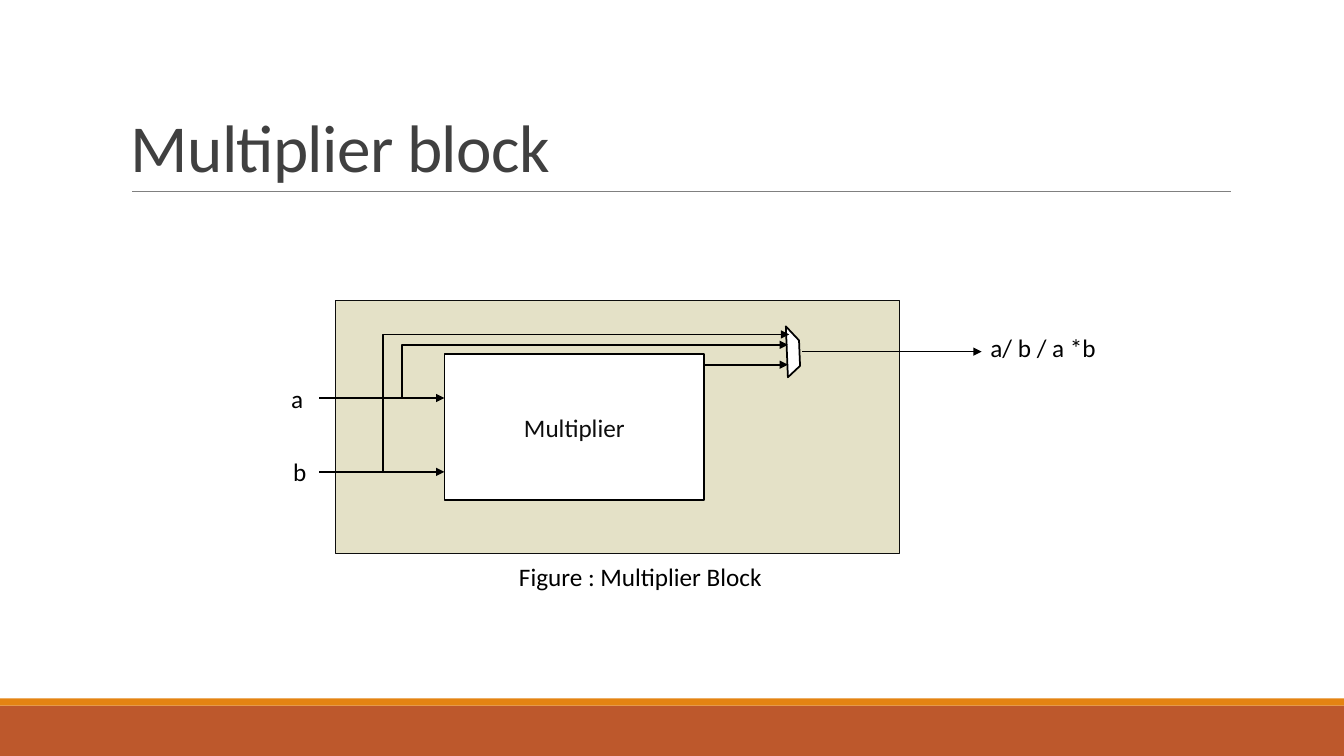
from lxml import etree
from pptx import Presentation
from pptx import util as u
from pptx.dml.color import RGBColor
from pptx.enum import shapes, text
from pptx.oxml.ns import qn

# Content: lengths in cm, boxes as left, top, width, height
COLOURS = {"rust": "BD582C", "orange": "E48312", "rule": "808080",
           "title": "404040", "panel": "C2BC80", "ink": "0D0D0D",
           "black": "000000", "white": "FFFFFF"}
FONT = "Calibri"
WIDTH, HEIGHT = 33.87, 19.05
TITLE = ("Multiplier block", (3.05, 0.79, 27.94, 4.04))
PANEL = (8.46, 7.57, 14.2, 6.38)
MULTIPLIER = ("Multiplier", (11.2, 8.92, 6.55, 3.68))
MUX = (19.41, 8.38, 0.84, 0.97)
INPUT_X, MUX_X = 8.05, 19.86
A_Y, B_Y = 10.03, 11.89
LABELS = [
    ("a", (7.09, 9.53, 0.89, 1.02)),
    ("b", (7.14, 11.38, 0.89, 1.02)),
    ("a/ b / a *b", (24.71, 8.26, 3.43, 1.02)),
    ("Figure : Multiplier Block", (12.83, 14.02, 7.87, 1.02)),
]
block_left, block_right = MULTIPLIER[1][0], MULTIPLIER[1][0] + MULTIPLIER[1][2]
# Start, end, and the position of the bend (None for a straight wire)
WIRES = [
    ((block_right, 9.19), (MUX_X, 9.19), None),
    ((INPUT_X, A_Y), (block_left, A_Y), None),
    ((INPUT_X, B_Y), (block_left, B_Y), None),
    ((9.42, A_Y), (MUX_X, 8.69), 0.069),
    ((20.22, 8.86), (24.74, 8.86), None),
    ((9.6, 11.91), (19.89, 8.43), 0.006),
]


def rgb(name):
    return RGBColor.from_string(COLOURS[name])


def cm(values):
    return [u.Cm(value) for value in values]


def add_block(slide, box, fill, line=None, weight=1.25,
              kind=shapes.MSO_SHAPE.RECTANGLE):
    block = slide.shapes.add_shape(kind, *cm(box))
    block.shadow.inherit = False
    block.fill.solid()
    block.fill.fore_color.rgb = rgb(fill)
    if line:
        block.line.color.rgb = rgb(line)
        block.line.width = u.Pt(weight)
    else:
        block.line.fill.background()
    return block


def add_wire(slide, start, end, bend=None, colour="black", weight=1.25, arrow=True):
    kind = shapes.MSO_CONNECTOR.STRAIGHT if bend is None else shapes.MSO_CONNECTOR.ELBOW
    wire = slide.shapes.add_connector(kind, *cm(start + end))
    wire.line.color.rgb = rgb(colour)
    wire.line.width = u.Pt(weight)
    properties = wire._element.spPr
    if arrow:
        etree.SubElement(properties.find(qn("a:ln")), qn("a:tailEnd"), type="triangle")
    if bend is not None:
        guides = properties.find(qn("a:prstGeom")).find(qn("a:avLst"))
        etree.SubElement(guides, qn("a:gd"), name="adj1",
                         fmla=f"val {round(bend * 100000)}")
    etree.SubElement(properties, qn("a:effectLst"))


def write(shape, words, size=18, colour="black"):
    shape.text_frame.text = words
    line = shape.text_frame.paragraphs[0]
    font = line.runs[0].font
    font.name, font.size, font.color.rgb = FONT, u.Pt(size), rgb(colour)
    return line


def add_label(slide, words, box, size=18, colour="black"):
    label = slide.shapes.add_textbox(*cm(box))
    label.text_frame.word_wrap = True
    return label, write(label, words, size, colour)


def main():
    deck = Presentation()
    deck.slide_width, deck.slide_height = cm((WIDTH, HEIGHT))
    slide = deck.slides.add_slide(deck.slide_layouts[6])

    # Footer bands and title rule
    add_block(slide, (0, 17.78, WIDTH, 1.27), "rust")
    add_block(slide, (0, 17.6, WIDTH, 0.18), "orange")
    add_wire(slide, (3.33, 4.83), (31.01, 4.83), colour="rule", weight=0.5, arrow=False)

    # Translucent panel
    panel = add_block(slide, PANEL, "panel", "ink", 0.75)
    tint = panel._element.spPr.find(qn("a:solidFill")).find(qn("a:srgbClr"))
    etree.SubElement(tint, qn("a:alpha"), val="44000")

    # Title
    title, heading = add_label(slide, *TITLE, 48, "title")
    title.text_frame.vertical_anchor = text.MSO_ANCHOR.BOTTOM
    heading.line_spacing = 0.85
    heading.runs[0].font._element.set("spc", "-50")

    # Multiplier and multiplexer
    name, box = MULTIPLIER
    multiplier = add_block(slide, box, "white", "black")
    multiplier.text_frame.vertical_anchor = text.MSO_ANCHOR.MIDDLE
    write(multiplier, name, colour="ink").alignment = text.PP_ALIGN.CENTER
    mux = add_block(slide, MUX, "white", "black", kind=shapes.MSO_SHAPE.DIAGONAL_STRIPE)
    mux.rotation = 136.8

    # Wires and labels
    for start, end, bend in WIRES:
        add_wire(slide, start, end, bend)
    for words, box in LABELS:
        label, _ = add_label(slide, words, box)
        label.text_frame.auto_size = text.MSO_AUTO_SIZE.SHAPE_TO_FIT_TEXT

    deck.save("out.pptx")


if __name__ == "__main__":
    main()
